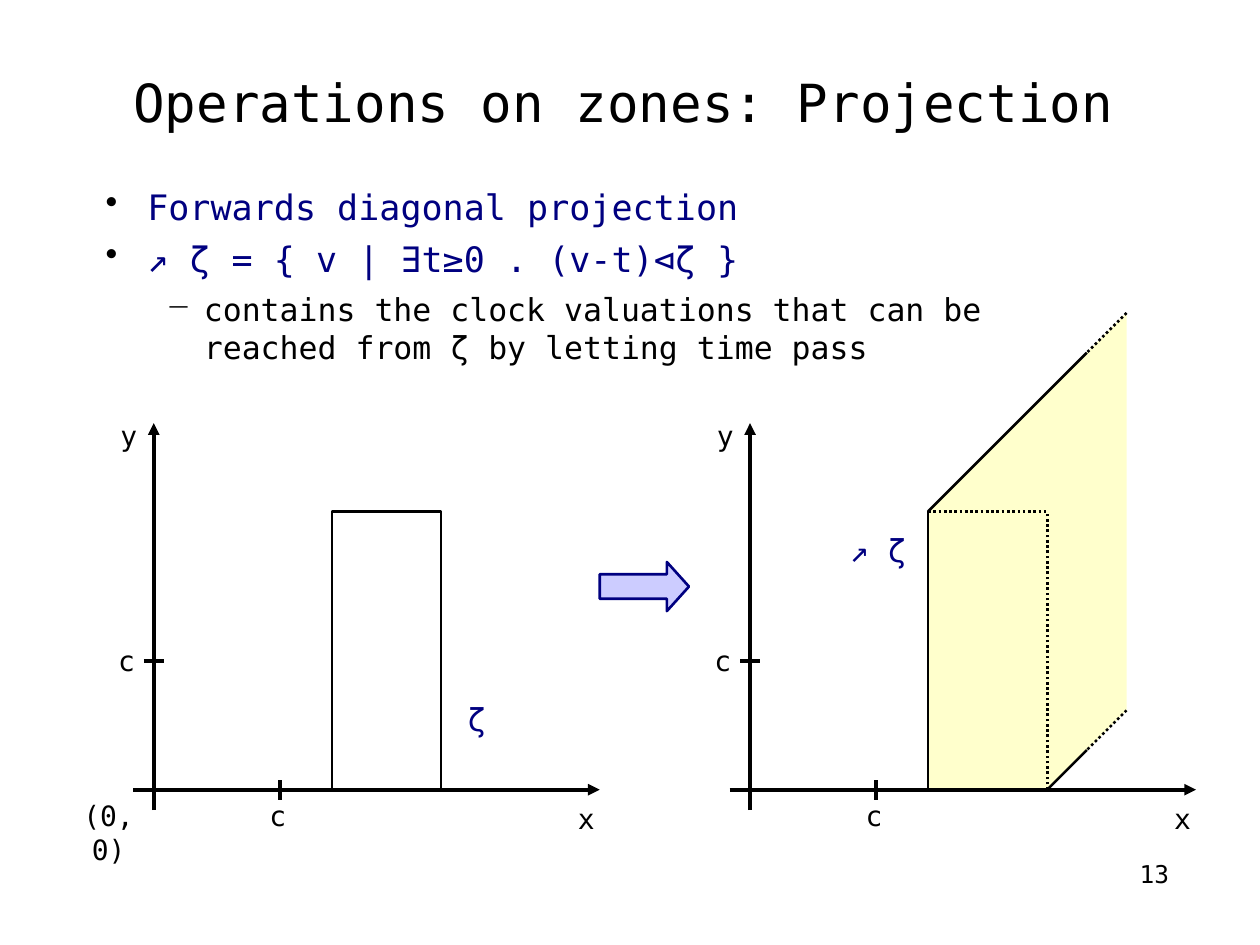
from lxml.etree import SubElement
from pptx import Presentation
from pptx.dml.color import RGBColor
from pptx.enum.dml import MSO_LINE
from pptx.enum.shapes import MSO_CONNECTOR, MSO_SHAPE
from pptx.enum.text import MSO_ANCHOR as ANCHOR, MSO_AUTO_SIZE as AUTO, PP_ALIGN as ALIGN
from pptx.oxml.ns import qn
from pptx.util import Cm, Pt

COLORS = {"ink": "000000", "navy": "000080", "arrow": "CCCCFF", "zone": "FFFFCC"}
FONT = "DejaVu Sans Mono"

# Axes geometry in cm, relative to the top left of a plot box
PLOT_W, PLOT_H, TOP = 9.4, 7.8, 8.53
ORIGIN_X, ORIGIN_Y = 0.41, 7.39
TICK_X, TICK_Y, TICK = 2.95, 4.8, 0.2
ZONE_LEFT, ZONE_TOP = 4, 1.78


def rgb(name):
    return RGBColor.from_string(COLORS[name])


def add_run(p, text, size, color):
    p.text = text
    for r in p.runs:
        r.font.color.rgb = rgb(color)
        for key, value in {"name": FONT, "size": Pt(size)}.items():
            setattr(r.font, key, value)


def add_text(s, box, text, size, color="ink", inset=(0, 0), align=ALIGN.CENTER,
             spacing=1.0, anchor=ANCHOR.TOP, auto=AUTO.NONE):
    tf = s.shapes.add_textbox(*map(Cm, box)).text_frame
    side, edge = map(Cm, inset)
    formats = {"word_wrap": True, "auto_size": auto, "vertical_anchor": anchor,
               "margin_left": side, "margin_right": side,
               "margin_top": edge, "margin_bottom": edge}
    for key, value in formats.items():
        setattr(tf, key, value)
    p = tf.paragraphs[0]
    p.alignment, p.line_spacing = align, spacing
    add_run(p, text, size, color)
    return tf


def add_label(s, box, text, size=16, color="ink", spacing=1.0):
    add_text(s, box, text, size, color, (0.25, 0.13), spacing=spacing,
             auto=AUTO.SHAPE_TO_FIT_TEXT)


def add_line(s, start, end, width=1.5, dash=None, arrow=False):
    line = s.shapes.add_connector(MSO_CONNECTOR.STRAIGHT, *map(Cm, start + end))
    line.line.color.rgb = rgb("ink")
    line.line.width = Pt(width)
    if dash:
        line.line.dash_style = dash
    if arrow:
        SubElement(line.line._get_or_add_ln(), qn("a:tailEnd"), type="triangle")
    SubElement(line._element.spPr, qn("a:effectLst"))


def add_outline(s, points, close):
    pts = [(Cm(x), Cm(y)) for x, y in points]
    builder = s.shapes.build_freeform(*pts[0])
    builder.add_line_segments(pts[1:], close=close)
    sp = builder.convert_to_shape()
    sp.shadow.inherit = False
    return sp


def add_bullet(p, char, left, hang):
    pPr = p._p.get_or_add_pPr()
    pPr.set("marL", str(Cm(left)))
    pPr.set("indent", str(-Cm(hang)))
    SubElement(SubElement(pPr, qn("a:buClr")), qn("a:srgbClr"), val=COLORS["ink"])
    SubElement(pPr, qn("a:buChar"), char=char)


def body(s, box):
    items = [
        ("Forwards diagonal projection", 0),
        ("↗ ζ = { v | ∃t≥0 . (v-t)⊲ζ }", 0),
        ("contains the clock valuations that can be\vreached from ζ by letting time pass", 1),
    ]
    levels = [("•", 1.12, 0.84, 20, "navy"), ("−", 2.26, 0.76, 18, "ink")]
    tf = add_text(s, box, "", 20, align=ALIGN.LEFT)
    for i, (text, level) in enumerate(items):
        char, left, hang, size, color = levels[level]
        p = tf.add_paragraph() if i else tf.paragraphs[0]
        p.level = level
        p.space_before = Pt(6 if i else 0)
        add_bullet(p, char, left, hang)
        add_run(p, text, size, color)


def axes(s, left, top):
    def at(x, y):
        return left + x, top + y

    # Axes
    add_line(s, at(ORIGIN_X, PLOT_H), at(ORIGIN_X, 0), 2.25, arrow=True)
    add_line(s, at(0, ORIGIN_Y), at(PLOT_W, ORIGIN_Y), 2.25, arrow=True)
    # Ticks at c
    add_line(s, at(ORIGIN_X - TICK, TICK_Y), at(ORIGIN_X + TICK, TICK_Y), 2.25)
    add_line(s, at(TICK_X, ORIGIN_Y + TICK), at(TICK_X, ORIGIN_Y - TICK), 2.25)
    # Labels
    for text, x, y, w in [("y", -0.51, -0.23, 0.79), ("c", -0.56, 4.32, 0.79),
                          ("c", 2.49, 7.44, 0.69), ("x", 8.71, 7.49, 0.79)]:
        add_label(s, at(x, y) + (w, 0.94), text)


def zone_plot(s, left, top):
    axes(s, left, top)
    add_label(s, (left - 1.4, top + 7.44, 1.8, 0.94), "(0,0)")
    # Zone, open along the x axis
    x1, x2 = left + ZONE_LEFT, left + 6.2
    y1, y2 = top + ZONE_TOP, top + ORIGIN_Y
    sp = add_outline(s, [(x1, y2), (x1, y1), (x2, y1), (x2, y2)], close=False)
    sp.fill.background()
    sp.line.color.rgb = rgb("ink")
    sp.line.width = Pt(1.5)
    add_label(s, (left + 5.82, top + 5.59, 2.21, 0.89), "ζ", 18, "navy", 0.82)


def projection_plot(s, left, top):
    x1, x2 = left + ZONE_LEFT, left + 6.4
    y1, y2 = top + ZONE_TOP, top + ORIGIN_Y
    solid_x, far_x = left + 7.2, left + 8

    def diagonal(start, x):
        return x, start[1] - (x - start[0])

    upper, lower, corner = (x1, y1), (x2, y2), (x2, y1)
    # Projected area
    sp = add_outline(s, [(x1, y2), lower, diagonal(lower, far_x),
                         diagonal(upper, far_x), upper], close=True)
    sp.fill.solid()
    sp.fill.fore_color.rgb = rgb("zone")
    sp.line.fill.background()
    axes(s, left, top)
    # Borders: solid where known, dotted beyond and inside
    add_line(s, (x1, y2), upper)
    for start in (upper, lower):
        bend = diagonal(start, solid_x)
        add_line(s, bend, start)
        add_line(s, diagonal(start, far_x), bend, dash=MSO_LINE.ROUND_DOT)
        add_line(s, start, corner, dash=MSO_LINE.ROUND_DOT)
    add_label(s, (left + 1.8, top + 2.18, 2.39, 0.89), "↗ ζ", 18, "navy", 0.82)


def block_arrow(s, box):
    sp = s.shapes.add_shape(MSO_SHAPE.RIGHT_ARROW, *map(Cm, box))
    sp.shadow.inherit = False
    sp.adjustments[0], sp.adjustments[1] = 0.5, 0.45
    sp.fill.solid()
    sp.fill.fore_color.rgb = rgb("arrow")
    sp.line.color.rgb = rgb("navy")
    sp.line.width = Pt(1.5)


def main():
    prs = Presentation()
    prs.slide_width, prs.slide_height = Cm(25.4), Cm(19.05)
    s = prs.slides.add_slide(prs.slide_layouts[6])
    add_text(s, (1.73, 0.94, 21.67, 2.18), "Operations on zones: Projection", 30,
             spacing=1.04, anchor=ANCHOR.MIDDLE)
    body(s, (1.85, 3.73, 21.67, 13.21))
    zone_plot(s, 2.69, TOP)
    block_arrow(s, (12.09, 11.33, 1.8, 0.99))
    projection_plot(s, 14.71, TOP)
    # Slide number
    add_text(s, (19.48, 17.35, 4.09, 1.32), "13", 14, align=ALIGN.RIGHT, spacing=0.96)
    prs.save("out.pptx")


if __name__ == "__main__":
    main()
